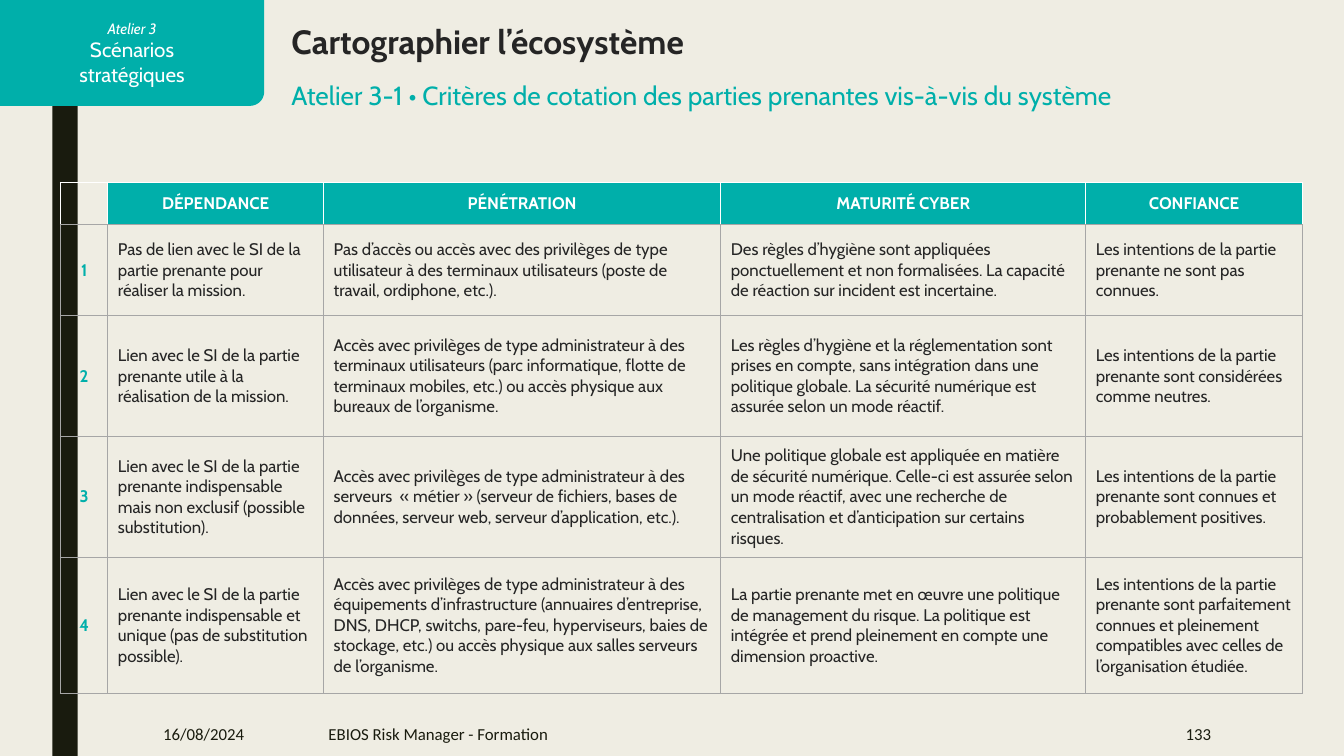
from math import cos, pi, sin

from lxml.etree import SubElement
from pptx import Presentation
from pptx.dml.color import RGBColor
from pptx.enum.shapes import MSO_SHAPE
from pptx.enum.text import MSO_ANCHOR, PP_ALIGN
from pptx.oxml.ns import qn
from pptx.util import Inches, Pt

TEAL, DARK, INK, GREY, WHITE = "00AFAA", "191B0E", "252525", "A6A6A6", "FFFFFF"


def color(value):
    return RGBColor.from_string(value)


def write(frame, text, size=12, font="Cabin", ink=INK, bold=False, italic=False,
          align=PP_ALIGN.LEFT, new=False):
    frame.word_wrap = True
    para = frame.add_paragraph() if new else frame.paragraphs[0]
    para.alignment = align
    span = para.add_run()
    span.text = text
    span.font.size = Pt(size)
    span.font.name = font
    span.font.bold = bold
    span.font.italic = italic
    span.font.color.rgb = color(ink)


deck = Presentation()
deck.slide_width, deck.slide_height = Inches(13.33), Inches(7.5)
page = deck.slides.add_slide(deck.slide_layouts[6])
page.background.fill.solid()
page.background.fill.fore_color.rgb = color("EFEDE3")

stripe = page.shapes.add_shape(
    MSO_SHAPE.RECTANGLE, Inches(0.52), 0, Inches(0.25), Inches(7.5))

tab_width, tab_height, radius = 2.62, 1.05, 0.14
corner = []
for step in range(13):
    angle = step * pi / 24
    corner.append((Inches(tab_width - radius + radius * cos(angle)),
                   Inches(tab_height - radius + radius * sin(angle))))
outline = page.shapes.build_freeform(0, 0)
outline.add_line_segments([(Inches(tab_width), 0), *corner, (0, Inches(tab_height))])
tab = outline.convert_to_shape()

for shape, fill in [(stripe, DARK), (tab, TEAL)]:
    shape.shadow.inherit = False
    shape.fill.solid()
    shape.fill.fore_color.rgb = color(fill)
    shape.line.fill.background()

tab.text_frame.vertical_anchor = MSO_ANCHOR.MIDDLE
write(tab.text_frame, "Atelier 3", size=10.7, ink=WHITE, italic=True, align=PP_ALIGN.CENTER)
for line in ["Scénarios", "stratégiques"]:
    write(tab.text_frame, line, size=14.7, ink=WHITE, align=PP_ALIGN.CENTER, new=True)

criteria = [
    ["", "DÉPENDANCE", "PÉNÉTRATION", "MATURITÉ CYBER", "CONFIANCE"],
    ["1",
     "Pas de lien avec le SI de la partie prenante pour réaliser la mission.",
     "Pas d’accès ou accès avec des privilèges de type utilisateur à des terminaux utilisateurs (poste de travail, ordiphone, etc.).",
     "Des règles d’hygiène sont appliquées ponctuellement et non formalisées. La capacité de réaction sur incident est incertaine.",
     "Les intentions de la partie prenante ne sont pas connues."],
    ["2",
     "Lien avec le SI de la partie prenante utile à la réalisation de la mission.",
     "Accès avec privilèges de type administrateur à des terminaux utilisateurs (parc informatique, flotte de terminaux mobiles, etc.) ou accès physique aux bureaux de l’organisme.",
     "Les règles d’hygiène et la réglementation sont prises en compte, sans intégration dans une politique globale. La sécurité numérique est assurée selon un mode réactif.",
     "Les intentions de la partie prenante sont considérées comme neutres."],
    ["3",
     "Lien avec le SI de la partie prenante indispensable mais non exclusif (possible substitution).",
     "Accès avec privilèges de type administrateur à des serveurs  « métier » (serveur de fichiers, bases de données, serveur web, serveur d’application, etc.).",
     "Une politique globale est appliquée en matière de sécurité numérique. Celle-ci est assurée selon un mode réactif, avec une recherche de centralisation et d’anticipation sur certains risques.",
     "Les intentions de la partie prenante sont connues et probablement positives."],
    ["4",
     "Lien avec le SI de la partie prenante indispensable et unique (pas de substitution possible).",
     "Accès avec privilèges de type administrateur à des équipements d’infrastructure (annuaires d’entreprise, DNS, DHCP, switchs, pare-feu, hyperviseurs, baies de stockage, etc.) ou accès physique aux salles serveurs de l’organisme.",
     "La partie prenante met en œuvre une politique de management du risque. La politique est intégrée et prend pleinement en compte une dimension proactive.",
     "Les intentions de la partie prenante sont parfaitement connues et pleinement compatibles avec celles de l’organisation étudiée."],
]
widths = [0.47, 2.14, 3.94, 3.62, 2.15]
heights = [0.38, 0.9, 1.2, 1.2, 1.35]
table = page.shapes.add_table(len(heights), len(widths), Inches(0.6), Inches(1.81),
                              Inches(sum(widths)), Inches(sum(heights))).table
table.first_row = table.horz_banding = False
for column, width in zip(table.columns, widths):
    column.width = Inches(width)
for row, height in zip(table.rows, heights):
    row.height = Inches(height)

for row_index, texts in enumerate(criteria):
    for column_index, text in enumerate(texts):
        cell = table.cell(row_index, column_index)
        header = row_index == 0
        label = header or column_index == 0
        cell.vertical_anchor = MSO_ANCHOR.MIDDLE
        cell.margin_left = cell.margin_right = Inches(0.13 if label else 0.1)
        cell.margin_top = cell.margin_bottom = Inches(0.07 if label else 0)
        ink = WHITE if header else TEAL if label else INK
        write(cell.text_frame, text, ink=ink, bold=label,
              align=PP_ALIGN.CENTER if label else PP_ALIGN.LEFT)
        properties = cell._tc.get_or_add_tcPr()
        for side in ["lnL", "lnR", "lnT", "lnB"]:
            border = SubElement(properties, qn(f"a:{side}"), w=str(Pt(1)))
            fill = SubElement(border, qn("a:solidFill"))
            SubElement(fill, qn("a:srgbClr"),
                       val=WHITE if header and side != "lnB" else GREY)
        if header and text:
            cell.fill.solid()
            cell.fill.fore_color.rgb = color(TEAL)
        else:
            cell.fill.background()

headings = [
    (0.21, 0.4, "Cartographier l’écosystème", 24, INK, True),
    (0.79, 0.31, "Atelier 3-1 • Critères de cotation des parties prenantes vis-à-vis du système",
     18.7, TEAL, False),
]
for top, height, text, size, ink, bold in headings:
    box = page.shapes.add_textbox(Inches(2.89), Inches(top), Inches(9.97), Inches(height))
    frame = box.text_frame
    frame.margin_left = frame.margin_right = frame.margin_top = frame.margin_bottom = 0
    write(frame, text, size=size, ink=ink, bold=bold)

footers = [
    (1.52, 1.32, "16/08/2024", PP_ALIGN.LEFT),
    (3.16, 6.87, "EBIOS Risk Manager - Formation", PP_ALIGN.LEFT),
    (10.36, 1.75, "133", PP_ALIGN.RIGHT),
]
for left, width, text, align in footers:
    box = page.shapes.add_textbox(Inches(left), Inches(7.06), Inches(width), Inches(0.44))
    box.text_frame.vertical_anchor = MSO_ANCHOR.MIDDLE
    write(box.text_frame, text, font="Calibri", ink=DARK, align=align)

deck.save("out.pptx")
